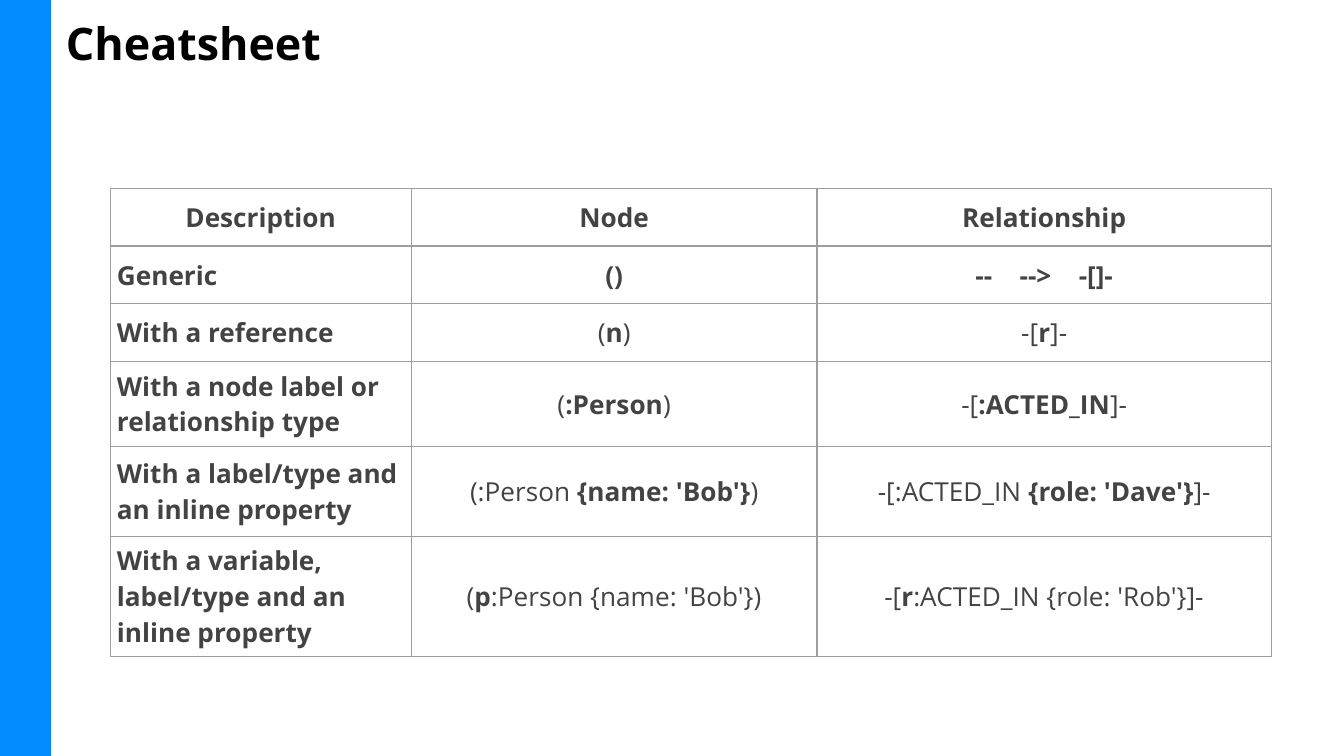
import pptx
import pptx.util
import pptx.dml.color
import pptx.enum.shapes
import pptx.enum.text
import lxml.etree

Inches = pptx.util.Inches
Pt = pptx.util.Pt
RGBColor = pptx.dml.color.RGBColor
ALIGN = pptx.enum.text.PP_ALIGN
MIDDLE = pptx.enum.text.MSO_ANCHOR.MIDDLE

BLUE = RGBColor(0x01, 0x8B, 0xFF)
BLACK = RGBColor(0x00, 0x00, 0x00)
GRAY = RGBColor(0x43, 0x43, 0x43)
LINE = RGBColor(0x9E, 0x9E, 0x9E)
FONT = "Open Sans"
NS = "http://schemas.openxmlformats.org/drawingml/2006/main"
GAP = "1100"

WIDTHS = [2.24, 3.02, 3.38]
HEIGHTS = [0.43, 0.43, 0.43, 0.43, 0.67, 0.43]
ROWS = [
    ["Description", "Node", "Relationship"],
    ["Generic", "()", "-- --> -[]-"],
    ["With a reference", "(*n*)", "-[*r*]-"],
    ["With a node label or relationship type", "(*:Person*)", "-[*:ACTED_IN*]-"],
    ["With a label/type and an inline property",
     "(:Person *{name: 'Bob'}*)", "-[:ACTED_IN *{role: 'Dave'}*]-"],
    ["With a variable, label/type and an inline property",
     "(*p*:Person {name: 'Bob'})", "-[*r*:ACTED_IN {role: 'Rob'}]-"],
]


def style(para, size, color, bold):
    para.font.name = FONT
    para.font.size = Pt(size)
    para.font.color.rgb = color
    para.font.bold = bold


def border(cell):
    props = cell._tc.get_or_add_tcPr()
    for side in ("lnL", "lnR", "lnT", "lnB"):
        edge = lxml.etree.SubElement(props, f"{{{NS}}}{side}", w=str(Pt(0.75)))
        fill = lxml.etree.SubElement(edge, f"{{{NS}}}solidFill")
        lxml.etree.SubElement(fill, f"{{{NS}}}srgbClr", val=str(LINE))


deck = pptx.Presentation()
deck.slide_width = Inches(10)
deck.slide_height = Inches(10) * 9 // 16
slide = deck.slides.add_slide(deck.slide_layouts[5])

bar = slide.shapes.add_shape(
    pptx.enum.shapes.MSO_SHAPE.RECTANGLE, 0, 0, Inches(0.38), deck.slide_height)
bar.shadow.inherit = False
bar.fill.solid()
bar.fill.fore_color.rgb = BLUE
bar.line.fill.background()

title = slide.shapes.title
title.left, title.top = Inches(0.39), Inches(0)
title.width, title.height = Inches(8.8), Inches(0.63)
frame = title.text_frame
frame.text = "Cheatsheet"
frame.auto_size = pptx.enum.text.MSO_AUTO_SIZE.NONE
frame.vertical_anchor = MIDDLE
frame.margin_left = frame.margin_right = Inches(0.1)
frame.margin_top = frame.margin_bottom = Inches(0.1)
frame.paragraphs[0].alignment = ALIGN.LEFT
style(frame.paragraphs[0], 24, BLACK, True)

table = slide.shapes.add_table(
    len(ROWS), len(WIDTHS), Inches(0.82), Inches(1.4),
    Inches(sum(WIDTHS)), Inches(sum(HEIGHTS))).table
table.first_row = False
table.horz_banding = False
for col, width in zip(table.columns, WIDTHS):
    col.width = Inches(width)
for row, height in zip(table.rows, HEIGHTS):
    row.height = Inches(height)

for i, texts in enumerate(ROWS):
    for j, text in enumerate(texts):
        cell = table.cell(i, j)
        border(cell)
        cell.fill.background()
        cell.vertical_anchor = MIDDLE
        cell.margin_left = cell.margin_right = Inches(0.05)
        cell.margin_top = cell.margin_bottom = Inches(0.05)
        para = cell.text_frame.paragraphs[0]
        para.alignment = ALIGN.LEFT if i and not j else ALIGN.CENTER
        style(para, 14, GRAY, "*" not in text)
        if text.startswith("--"):
            for k, word in enumerate(text.split()):
                if k:
                    space = para.add_run()
                    space.text = " "
                    space._r.get_or_add_rPr().set("spc", GAP)
                para.add_run().text = word
            continue
        for k, part in enumerate(text.split("*")):
            run = para.add_run()
            run.text = part
            if k % 2:
                run.font.bold = True

deck.save("out.pptx")
